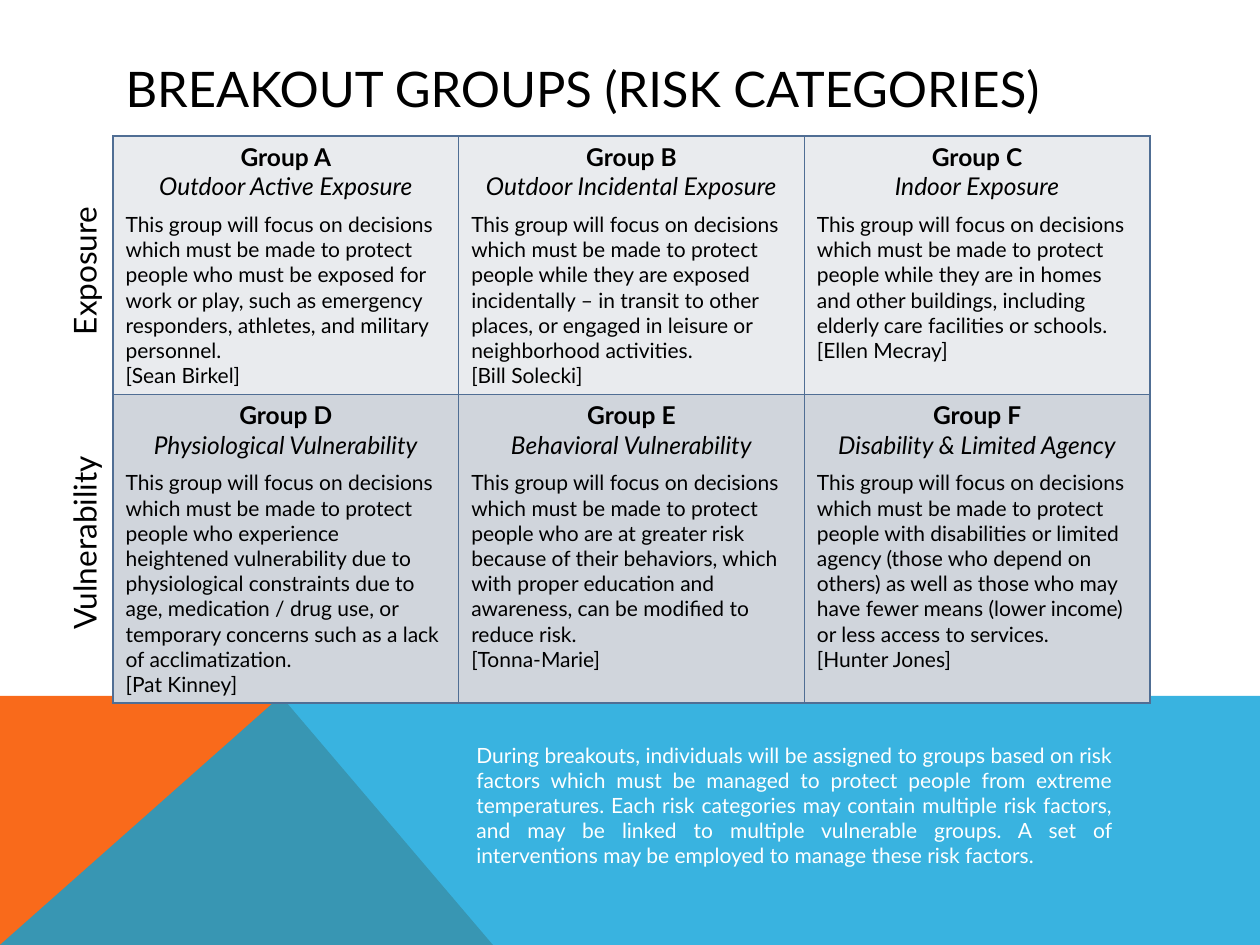
from dataclasses import dataclass
from typing import Any

import lxml.etree
import pptx
import pptx.dml.color
import pptx.enum.text
import pptx.oxml
import pptx.oxml.ns
import pptx.util

ALIGN = pptx.enum.text.PP_ALIGN
ANCHOR = pptx.enum.text.MSO_ANCHOR
SCALE = 914400 / 126
COLORS = {
    "orange": "F96A1B",
    "blue": "08A1D9",
    "border": "506E94",
    "exposure": "E9EBEE",
    "vulnerability": "D0D5DC",
    "black": "000000",
    "white": "FFFFFF",
}
FOCUS = "This group will focus on decisions which must be made to protect people "


@dataclass
class Band:
    points: list[tuple[int, int]]
    color: str
    opacity: int


@dataclass
class Group:
    letter: str
    topic: str
    scope: str
    leader: str


@dataclass
class Category:
    name: str
    color: str
    height: int
    label_top: int
    groups: list[Group]


BANDS = [
    Band([(0, 945), (0, 696), (281, 696), (493, 945)], "orange", 100),
    Band([(0, 945), (281, 696), (1260, 696), (1260, 945)], "blue", 80),
]
CATEGORIES = [
    Category("Exposure", "exposure", 258, 246, [
        Group("A", "Outdoor Active Exposure",
              "who must be exposed for work or play, such as emergency responders, "
              "athletes, and military personnel.", "Sean Birkel"),
        Group("B", "Outdoor Incidental Exposure",
              "while they are exposed incidentally – in transit to other places, "
              "or engaged in leisure or neighborhood activities.", "Bill Solecki"),
        Group("C", "Indoor Exposure",
              "while they are in homes and other buildings, including elderly care "
              "facilities or schools.", "Ellen Mecray"),
    ]),
    Category("Vulnerability", "vulnerability", 282, 518, [
        Group("D", "Physiological Vulnerability",
              "who experience heightened vulnerability due to physiological "
              "constraints due to age, medication / drug use, or temporary concerns "
              "such as a lack of acclimatization.", "Pat Kinney"),
        Group("E", "Behavioral Vulnerability",
              "who are at greater risk because of their behaviors, which with proper "
              "education and awareness, can be modified to reduce risk.", "Tonna-Marie"),
        Group("F", "Disability & Limited Agency",
              "with disabilities or limited agency (those who depend on others) as "
              "well as those who may have fewer means (lower income) or less access "
              "to services.", "Hunter Jones"),
    ]),
]
SUMMARY = (
    "During breakouts, individuals will be assigned to groups based on risk factors "
    "which must be managed to protect people from extreme temperatures. Each risk "
    "categories may contain multiple risk factors, and may be linked to multiple "
    "vulnerable groups. A set of interventions may be employed to manage these risk "
    "factors."
)


def px(length: int) -> int:
    return round(length * SCALE)


def rgb(color: str) -> pptx.dml.color.RGBColor:
    return pptx.dml.color.RGBColor.from_string(COLORS[color])


def apply(target: Any, values: dict[str, Any]) -> None:
    for name, value in values.items():
        setattr(target, name, value)


def place(shape: Any, left: int, top: int, width: int, height: int) -> None:
    apply(shape, {"left": px(left), "top": px(top),
                  "width": px(width), "height": px(height)})


def write(para: Any, text: str, size: int, color: str = "black",
          align: Any = ALIGN.LEFT, **styles: bool) -> None:
    para.alignment = align
    for index, line in enumerate(text.split("\n")):
        if index:
            para.add_line_break()
        span = para.add_run()
        span.text = line
        apply(span.font, {"name": "Lato", "size": pptx.util.Pt(size), **styles})
        span.font.color.rgb = rgb(color)


def draw_band(page: Any, band: Band) -> None:
    builder = page.shapes.build_freeform(*band.points[0], scale=SCALE)
    builder.add_line_segments(band.points[1:], close=True)
    shape = builder.convert_to_shape()
    shape.shadow.inherit = False
    shape.fill.solid()
    shape.fill.fore_color.rgb = rgb(band.color)
    shape.line.fill.background()
    if band.opacity < 100:
        tint = shape.fill._xPr.find(".//" + pptx.oxml.ns.qn("a:srgbClr"))
        alpha = lxml.etree.SubElement(tint, pptx.oxml.ns.qn("a:alpha"))
        alpha.set("val", str(band.opacity * 1000))


def draw_text(page: Any, area: tuple[int, int, int, int], text: str, size: int,
              color: str, align: Any, rotation: int = 0) -> None:
    box = page.shapes.add_textbox(*map(px, area))
    box.rotation = rotation
    apply(box.text_frame, {
        "word_wrap": True,
        "auto_size": pptx.enum.text.MSO_AUTO_SIZE.SHAPE_TO_FIT_TEXT,
    })
    write(box.text_frame.paragraphs[0], text, size, color, align)


def draw_borders(cell: Any) -> None:
    properties = cell._tc.get_or_add_tcPr()
    for side in "LRTB":
        properties.append(pptx.oxml.parse_xml(
            f'<a:ln{side} {pptx.oxml.ns.nsdecls("a")} w="12700"><a:solidFill>'
            f'<a:srgbClr val="{COLORS["border"]}"/></a:solidFill></a:ln{side}>'
        ))


def fill_cell(cell: Any, group: Group, color: str) -> None:
    draw_borders(cell)
    cell.fill.solid()
    cell.fill.fore_color.rgb = rgb(color)
    frame = cell.text_frame
    write(frame.paragraphs[0], f"Group {group.letter}", 14, align=ALIGN.CENTER, bold=True)
    write(frame.add_paragraph(), group.topic, 14, align=ALIGN.CENTER, italic=True)
    para = frame.add_paragraph()
    para.space_before = pptx.util.Pt(6)
    write(para, f"{FOCUS}{group.scope}\n[{group.leader}]", 12)


def draw_groups(page: Any) -> None:
    heights = [category.height for category in CATEGORIES]
    table = page.shapes.add_table(
        len(CATEGORIES), 3, *map(px, (113, 136, 1037, sum(heights)))).table
    apply(table, {"first_row": False, "horz_banding": False})
    for row, category in enumerate(CATEGORIES):
        table.rows[row].height = px(category.height)
        for column, group in enumerate(category.groups):
            fill_cell(table.cell(row, column), group, category.color)


def main() -> None:
    deck = pptx.Presentation()
    apply(deck, {"slide_width": px(1260), "slide_height": px(945)})
    page = deck.slides.add_slide(deck.slide_layouts[5])
    for band in BANDS:
        draw_band(page, band)
    title = page.shapes.title
    place(title, 113, 50, 1036, 76)
    apply(title.text_frame, {"vertical_anchor": ANCHOR.MIDDLE, "word_wrap": True})
    write(title.text_frame.paragraphs[0], "BREAKOUT GROUPS (RISK CATEGORIES)", 28)
    draw_groups(page)
    for category in CATEGORIES:
        draw_text(page, (-50, category.label_top, 268, 50), category.name, 18,
                  "black", ALIGN.CENTER, rotation=270)
    draw_text(page, (464, 736, 661, 140), SUMMARY, 12, "white", ALIGN.JUSTIFY)
    deck.save("out.pptx")


if __name__ == "__main__":
    main()
